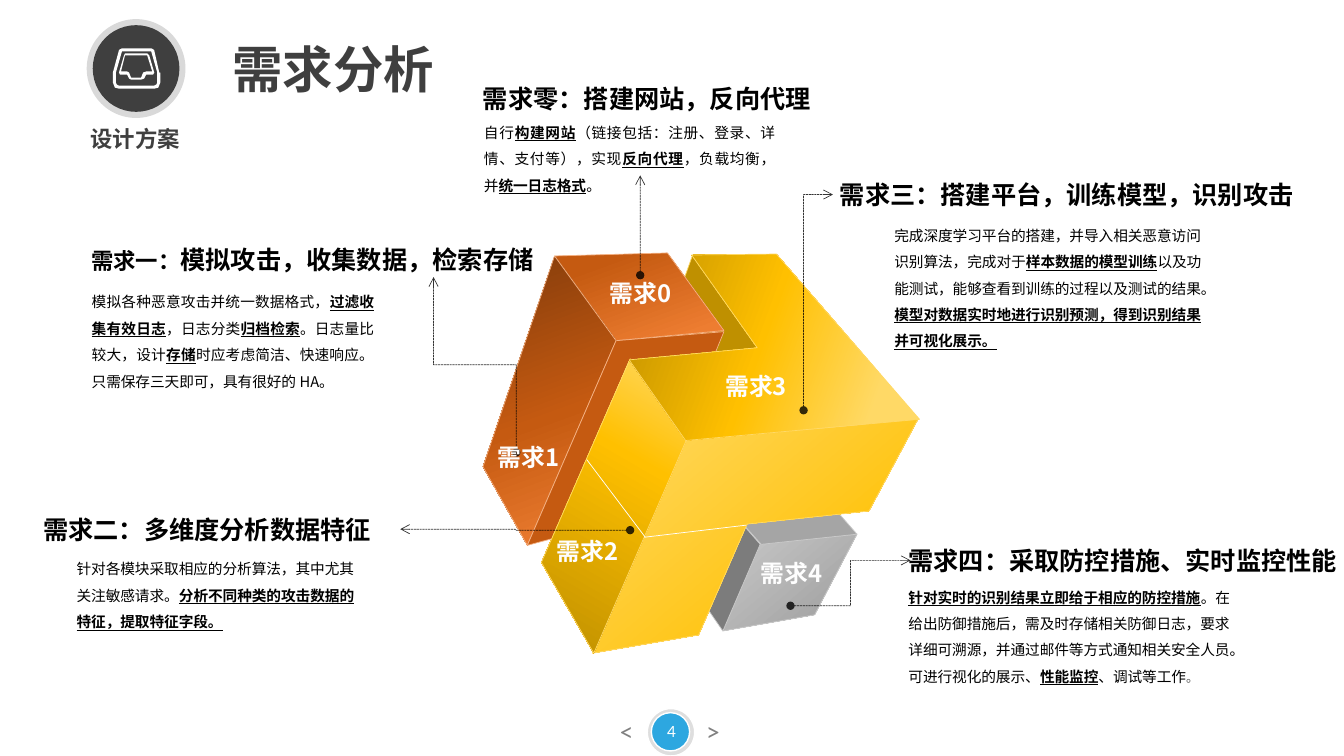
from lxml import etree
from pptx import Presentation
from pptx.dml.color import RGBColor
from pptx.enum.dml import MSO_LINE
from pptx.enum.shapes import MSO_CONNECTOR, MSO_SHAPE
from pptx.enum.text import MSO_ANCHOR, PP_ALIGN
from pptx.oxml.ns import qn
from pptx.util import Inches, Pt

UNIT = Inches(0.01)
COLUMNS, ROWS = 1333, 750
LEFT, CENTER, RIGHT, JUSTIFY = PP_ALIGN.LEFT, PP_ALIGN.CENTER, PP_ALIGN.RIGHT, PP_ALIGN.JUSTIFY
TOP = MSO_ANCHOR.TOP
OVAL = MSO_SHAPE.OVAL
STRAIGHT, ELBOW = MSO_CONNECTOR.STRAIGHT, MSO_CONNECTOR.ELBOW
DASH = MSO_LINE.SQUARE_DOT
CJK_FONT = "Noto Sans CJK SC"
HEADING_FONT = "Calibri"
HEADER_FONT = "Lato"
WIDE_INSET, NARROW_INSET = (10, 5), (7, 4)

COLORS = {
    "white": "FFFFFF", "label": "FEFEFE", "black": "000000", "dark": "3F3F3F",
    "ring": "D9D9D9", "halo": "BFBFBF", "pager": "808080", "blue": "2DA7E0", "stop": "5C5C5C",
    "silver": "C9C9C9", "gray": "A5A5A5", "slate": "7C7C7C",
    "cream": "FFD966", "yellow": "FFC000", "olive": "BF9000",
    "peach": "F4B183", "orange": "ED7D31", "rust": "C55A11", "brown": "843C0B",
}

FACES = [
    ([(0, "silver"), (81, "gray")], 50, "silver", [(850, 530), (754, 540), (717, 626), (808, 610)]),
    ("slate", 0, "silver", [(754, 540), (717, 626), (688, 584), (720, 501)]),
    ("gray", 0, "silver", [(720, 501), (816, 491), (850, 530), (755, 540)]),
    ("olive", 0, "cream", [(687, 253), (752, 345), (710, 427), (640, 384)]),
    ([(18, "rust"), (88, "orange")], 70, "peach", [(611, 338), (718, 328), (662, 251), (550, 254)]),
    ([(0, "brown"), (55, "rust"), (95, "orange")], 70, "peach",
     [(550, 254), (479, 463), (523, 541), (611, 338)]),
    ("rust", 0, "peach", [(718, 329), (611, 338), (523, 541), (645, 508)]),
    ([(0, "cream"), (80, "yellow")], 50, "cream",
     [(911, 415), (680, 436), (588, 648), (693, 630), (741, 520), (862, 507)]),
    ([(0, "cream"), (34, "yellow"), (100, "olive")], 120, "cream",
     [(625, 356), (537, 558), (589, 648), (681, 436)]),
    ([(16, "cream"), (54, "yellow"), (100, "olive")], 200, "cream",
     [(680, 437), (912, 416), (770, 252), (686, 253), (751, 345), (624, 357)]),
]

TRAY_ICON = [
    [[(158, 72), (153, 50), (152, 49), (150, 48), (121, 48), (119, 49), (118, 50), (112, 72),
      (112, 82), (114, 87), (118, 88), (153, 88), (157, 87), (159, 82), (159, 72)],
     [(156, 82), (155, 84), (153, 85), (118, 85), (116, 84), (115, 82), (115, 72),
      (121, 51), (150, 51), (156, 72)]],
    [[(146, 53), (124, 53), (123, 55), (118, 72), (119, 74), (126, 74), (128, 78), (130, 79),
      (140, 79), (143, 78), (145, 74), (152, 74), (153, 72), (148, 55)],
     [(147, 71), (145, 71), (142, 72), (140, 77), (130, 77), (128, 72), (126, 71), (120, 71),
      (124, 55), (146, 55), (151, 71)]],
]

HEADINGS = [
    ("需求零：搭建网站，反向代理", (430, 79, 381, 38), RIGHT),
    ("需求二：多维度分析数据特征", (36, 506, 361, 38), LEFT),
    ("需求三：搭建平台，训练模型，识别攻击", (826, 174, 471, 38), LEFT),
    ("需求四：采取防控措施、实时监控性能", (894, 537, 459, 38), LEFT),
]

BODIES = [
    ("自行*构建网站*（链接包括：注册、登录、详情、支付等），实现*反向代理*，负载均衡，并*统一日志格式*。",
     (473, 110, 303, 87), JUSTIFY),
    ("模拟各种恶意攻击并统一数据格式，*过滤收集有效日志*，日志分类*归档检索*。日志量比较大，设计*存储*"
     "时应考虑简洁、快速响应。只需保存三天即可，具有很好的 HA。", (84, 278, 294, 114), JUSTIFY),
    ("针对各模块采取相应的分析算法，其中尤其关注敏感请求。*分析不同种类的攻击数据的特征，提取特征字段。*",
     (69, 543, 294, 87), LEFT),
    ("完成深度学习平台的搭建，并导入相关恶意访问识别算法，完成对于*样本数据的模型训练*以及功能测试，"
     "能够查看到训练的过程以及测试的结果。*模型对数据实时地进行识别预测，得到识别结果并可视化展示。*",
     (880, 212, 332, 140), LEFT),
]
CONTROL_BODY = ("*针对实时的识别结果立即给于相应的防控措施*。在给出防御措施后，需及时存储相关防御日志，"
                "要求详细可溯源，并通过邮件等方式通知相关安全人员。可进行视化的展示、*性能监控*、调试等工作",
                (894, 571, 340, 114), LEFT)

LABELS = [(590, 273, 91, 80), (479, 435, 91, 80), (537, 528, 91, 79), (697, 365, 106, 45), (732, 550, 106, 45)]


def grid(*lengths):
    return [round(length * UNIT) for length in lengths]


def rgb(name):
    return RGBColor.from_string(COLORS[name])


def add_alpha(fill_owner, percent):
    color = next(fill_owner.iter(qn("a:srgbClr")))
    etree.SubElement(color, qn("a:alpha"), val=str(percent * 1000))


def style_paragraph(paragraph, size, color, font=CJK_FONT, bold=False, align=LEFT):
    paragraph.alignment = align
    paragraph.font.size = Pt(size)
    paragraph.font.bold = bold
    paragraph.font.color.rgb = rgb(color)
    paragraph.font.name = font
    defaults = next(paragraph._p.iter(qn("a:defRPr")))
    etree.SubElement(defaults, qn("a:ea"), typeface=CJK_FONT)


def add_text(slide, text, box, size, color, inset=NARROW_INSET, **style):
    frame = slide.shapes.add_textbox(*grid(*box)).text_frame
    frame.word_wrap = True
    frame.margin_left, frame.margin_top = frame.margin_right, frame.margin_bottom = grid(*inset)
    paragraph = frame.paragraphs[0]
    for index, part in enumerate(text.split("*")):
        if part:
            run = paragraph.add_run()
            run.text = part
            if index % 2:
                run.font.bold = run.font.underline = True
    style_paragraph(paragraph, size, color, **style)
    return paragraph


def add_heading(slide, text, box, align):
    return add_text(slide, text, box, 18, "black", font=HEADING_FONT, bold=True, align=align)


def add_body(slide, text, box, align):
    paragraph = add_text(slide, text, box, 10.5, "black", align=align)
    paragraph.line_spacing = 1.5
    return paragraph


def paint(shape, fill, line=None, width=0.5, angle=0):
    shape.shadow.inherit = False
    if isinstance(fill, str):
        shape.fill.solid()
        shape.fill.fore_color.rgb = rgb(fill)
    else:
        shape.fill.gradient()
        gradient = next(shape._element.spPr.iter(qn("a:gradFill")))
        stops = gradient.find(qn("a:gsLst"))
        for stop in list(stops):
            stops.remove(stop)
        for position, color in fill:
            stop = etree.SubElement(stops, qn("a:gs"), pos=str(position * 1000))
            etree.SubElement(stop, qn("a:srgbClr"), val=COLORS[color])
        shape.fill.gradient_angle = 360 - angle
    if line:
        shape.line.color.rgb = rgb(line)
        shape.line.width = Pt(width)
    else:
        shape.line.fill.background()


def add_disc(slide, left, top, size, fill, line=None):
    disc = slide.shapes.add_shape(OVAL, *grid(left, top, size, size))
    paint(disc, fill, line, 1)
    return disc


def add_outline(slide, contours, fill, line=None, angle=0):
    builder = slide.shapes.build_freeform(*contours[0][0], scale=UNIT)
    for index, contour in enumerate(contours):
        if index:
            builder.move_to(*contour[0])
        builder.add_line_segments(contour[1:], close=True)
    paint(builder.convert_to_shape(), fill, line, angle=angle)


def add_line(slide, kind, start, end, color):
    connector = slide.shapes.add_connector(kind, *grid(*start, *end))
    connector.line.color.rgb = rgb(color)
    connector.line.width = Pt(0.5)
    etree.SubElement(connector._element.spPr, qn("a:effectLst"))
    return connector


def add_arrow(slide, start, end, rising=False, preset="bentConnector3"):
    if rising:
        middle_x, middle_y = (start[0] + end[0]) / 2, (start[1] + end[1]) / 2
        half_rise, half_run = (start[1] - end[1]) / 2, (end[0] - start[0]) / 2
        start = middle_x - half_rise, middle_y - half_run
        end = middle_x + half_rise, middle_y + half_run
    connector = add_line(slide, ELBOW, start, end, "black")
    connector.line.dash_style = DASH
    properties = connector._element.spPr
    if rising:
        properties.find(qn("a:xfrm")).set("rot", str(270 * 60000))
    properties.find(qn("a:prstGeom")).set("prst", preset)
    line = properties.find(qn("a:ln"))
    add_alpha(line, 80)
    etree.SubElement(line, qn("a:headEnd"), type="oval")
    etree.SubElement(line, qn("a:tailEnd"), type="arrow")


def add_header(slide):
    add_disc(slide, 86, 19, 98, "ring")
    add_disc(slide, 92, 25, 86, "dark")
    for contours in TRAY_ICON:
        add_outline(slide, contours, "white")
    add_text(slide, "设计方案", (2, 119, 264, 37), 16, "dark", WIDE_INSET,
             font=HEADER_FONT, bold=True, align=CENTER)
    title = slide.shapes.title
    title.left, title.top, title.width, title.height = grid(219, 33, 223, 71)
    title.text_frame.text = "需求分析"
    title.text_frame.word_wrap = False
    title.text_frame.vertical_anchor = TOP
    style_paragraph(title.text_frame.paragraphs[0], 36, "dark", HEADER_FONT, True, CENTER)


def add_pager(slide):
    pager = add_text(slide, "<\t>", (530, 706, 271, 40), 18, "pager", (84, 5), font=HEADER_FONT)
    tabs = etree.Element(qn("a:tabLst"))
    etree.SubElement(tabs, qn("a:tab"), pos=str(86 * UNIT), algn="l")
    next(pager._p.iter(qn("a:defRPr"))).addprevious(tabs)
    halo = add_disc(slide, 642, 703, 47, "halo", "white")
    add_alpha(halo._element.spPr.find(qn("a:solidFill")), 50)
    add_disc(slide, 646, 707, 38, "blue", "white")
    add_text(slide, "4", (642, 711, 48, 29), 11, "white", WIDE_INSET, font=HEADER_FONT, align=CENTER)


def add_blocks(slide):
    for fill, angle, edge, corners in FACES:
        add_outline(slide, [corners], fill, edge, angle)
    add_line(slide, STRAIGHT, (582, 456), (640, 533), "white")
    add_line(slide, STRAIGHT, (639, 533), (740, 521), "white")
    add_arrow(slide, (635, 273), (635, 174), rising=True)
    add_arrow(slide, (512, 449), (430, 275), rising=True)
    add_arrow(slide, (625, 526), (397, 525))
    add_arrow(slide, (797, 407), (826, 193), rising=True, preset="bentConnector2")
    add_arrow(slide, (784, 601), (903, 556))
    for number, box in enumerate(LABELS):
        add_text(slide, f"需求{number}", box, 17, "label", bold=True, align=CENTER)


def add_requirements(slide):
    for heading in HEADINGS:
        add_heading(slide, *heading)
    collect = add_heading(slide, "需求一：", (77, 238, 459, 38), RIGHT)
    collect.runs[0].font.size = Pt(16)
    collect.add_run().text = "模拟攻击，收集数据，检索存储"
    for body in BODIES:
        add_body(slide, *body)
    full_stop = add_body(slide, *CONTROL_BODY).add_run()
    full_stop.text = "。"
    full_stop.font.size = Pt(9)
    full_stop.font.color.rgb = rgb("stop")


def main():
    presentation = Presentation()
    presentation.slide_width, presentation.slide_height = grid(COLUMNS, ROWS)
    slide = presentation.slides.add_slide(presentation.slide_layouts[5])
    add_pager(slide)
    add_header(slide)
    add_blocks(slide)
    add_requirements(slide)
    presentation.save("out.pptx")


if __name__ == "__main__":
    main()
